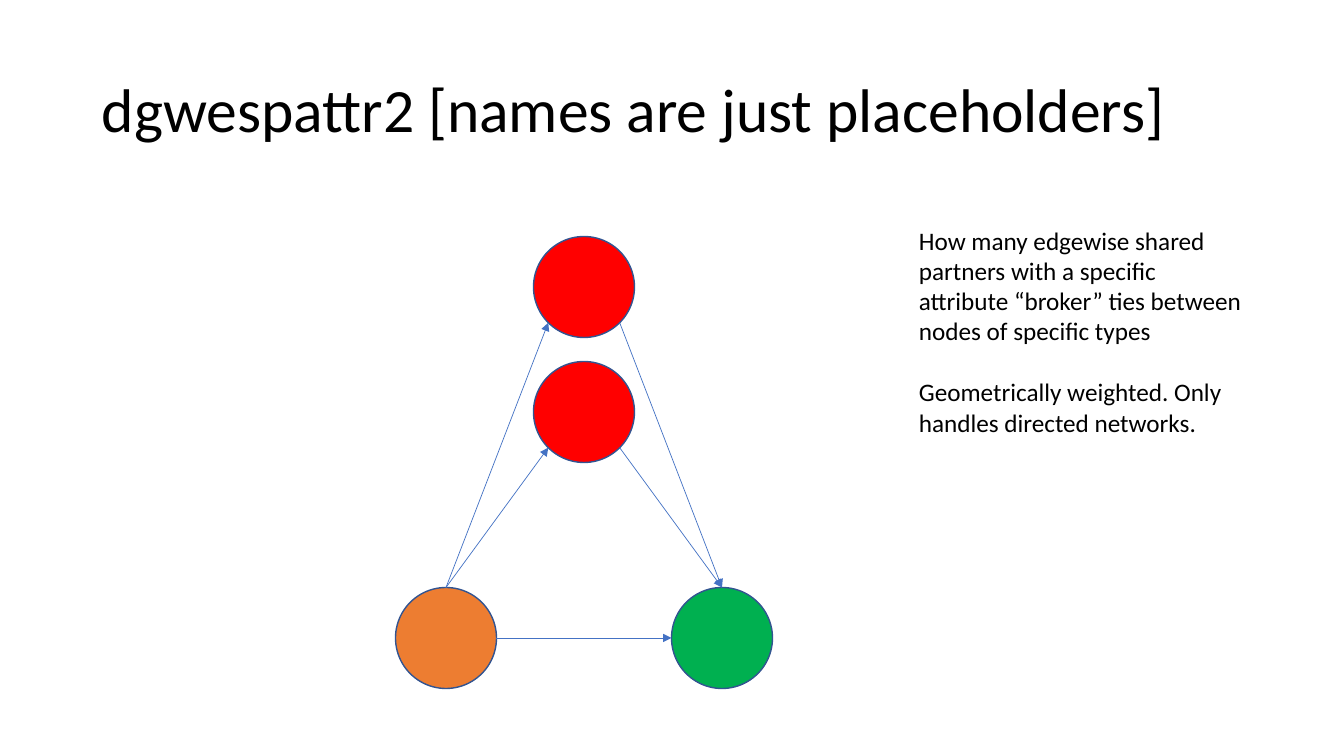
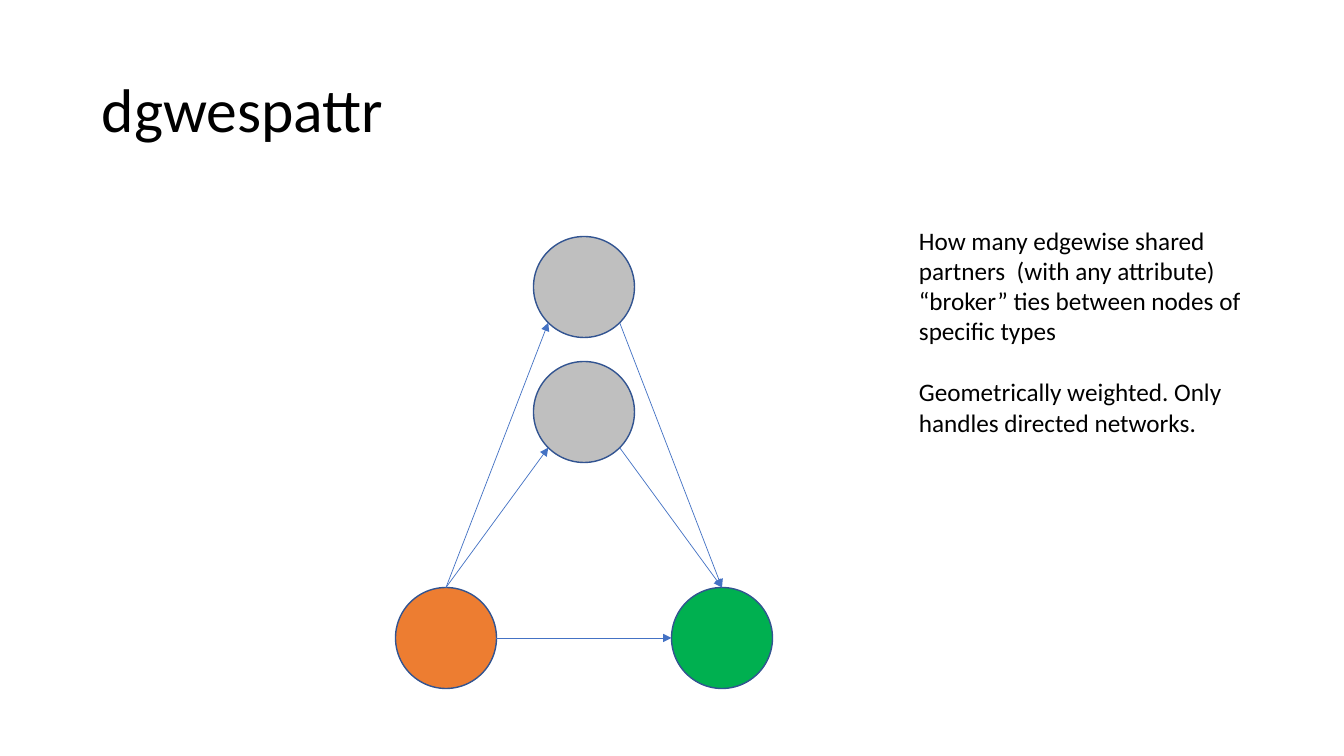
from math import cos, radians, sin

from pptx import Presentation
from pptx.dml.color import RGBColor
from pptx.enum.shapes import MSO_CONNECTOR as Connector, MSO_SHAPE as Shape
from pptx.enum.text import MSO_ANCHOR as Anchor
from pptx.oxml.ns import qn
from pptx.util import Pt
from lxml.etree import SubElement

# Content: title, explanation, colour of the shared partners
SLIDES = [
    ("dgwespattr2 [names are just placeholders]",
     "How many edgewise shared partners with a specific attribute “broker” "
     "ties between nodes of specific types", "FF0000"),
    ("dgwespattr",
     "How many edgewise shared partners  (with any attribute) “broker” "
     "ties between nodes of specific types", "BFBFBF"),
]
NOTE = "Geometrically weighted. Only handles directed networks."

# Network: node centres, fixed node colours, ties as (node, angle) pairs
CENTRES = {"sender": (446, 638), "receiver": (722, 638),
           "near partner": (584, 412), "far partner": (584, 287)}
NODE_COLORS = {"sender": "ED7D31", "receiver": "00B050"}
TOP, RIGHT, LOWER_RIGHT, LOWER_LEFT, LEFT = -90, 0, 45, 135, 180
TIES = [(("sender", RIGHT), ("receiver", LEFT))]
for partner in ("near partner", "far partner"):
    TIES += [(("sender", TOP), (partner, LOWER_LEFT)),
             ((partner, LOWER_RIGHT), ("receiver", TOP))]

# Shared style
FONT, INK = "Calibri", "000000"
NODE_LINE, TIE_LINE = "325491", "4472C4"
DIAMETER = 101
TITLE_AREA = (92, 40, 1159, 146)
TEXT_AREA = (909, 220, 343, 224)


def px(length):
    return round(length * 914400 / 100.8)


def color(code):
    return RGBColor.from_string(code)


def add_text(page, area, paragraphs, size=18, anchor=Anchor.TOP, spacing=1.0, gap=0):
    box = page.shapes.add_textbox(*map(px, area))
    frame = box.text_frame
    frame.word_wrap = True
    frame.vertical_anchor = anchor
    for index, text in enumerate(paragraphs):
        para = frame.add_paragraph() if index else frame.paragraphs[0]
        para.line_spacing = spacing
        para.space_before = Pt(gap if index else 0)
        span = para.add_run()
        span.text = text
        span.font.name, span.font.size = FONT, Pt(size)
        span.font.color.rgb = color(INK)


def add_node(page, centre, fill):
    left, top = (value - DIAMETER / 2 for value in centre)
    node = page.shapes.add_shape(Shape.OVAL, *map(px, (left, top, DIAMETER, DIAMETER)))
    node.shadow.inherit = False
    node.fill.solid()
    node.fill.fore_color.rgb = color(fill)
    node.line.color.rgb = color(NODE_LINE)
    node.line.width = Pt(1)


def rim_point(name, angle):
    x, y = CENTRES[name]
    turn = radians(angle)
    return px(x + DIAMETER / 2 * cos(turn)), px(y + DIAMETER / 2 * sin(turn))


def add_tie(page, start, end):
    tie = page.shapes.add_connector(Connector.STRAIGHT, *rim_point(*start), *rim_point(*end))
    tie.line.color.rgb = color(TIE_LINE)
    tie.line.width = Pt(0.5)
    SubElement(tie.line._get_or_add_ln(), qn("a:tailEnd"), type="triangle")
    SubElement(tie._element.spPr, qn("a:effectLst"))


deck = Presentation()
deck.slide_width, deck.slide_height = px(1344), px(756)

for title, explanation, partner_color in SLIDES:
    page = deck.slides.add_slide(deck.slide_layouts[6])
    add_text(page, TITLE_AREA, [title], size=44, anchor=Anchor.MIDDLE, spacing=0.9)
    for name, centre in CENTRES.items():
        add_node(page, centre, NODE_COLORS.get(name, partner_color))
    for start, end in TIES:
        add_tie(page, start, end)
    add_text(page, TEXT_AREA, [explanation, NOTE], gap=22)

deck.save("out.pptx")
